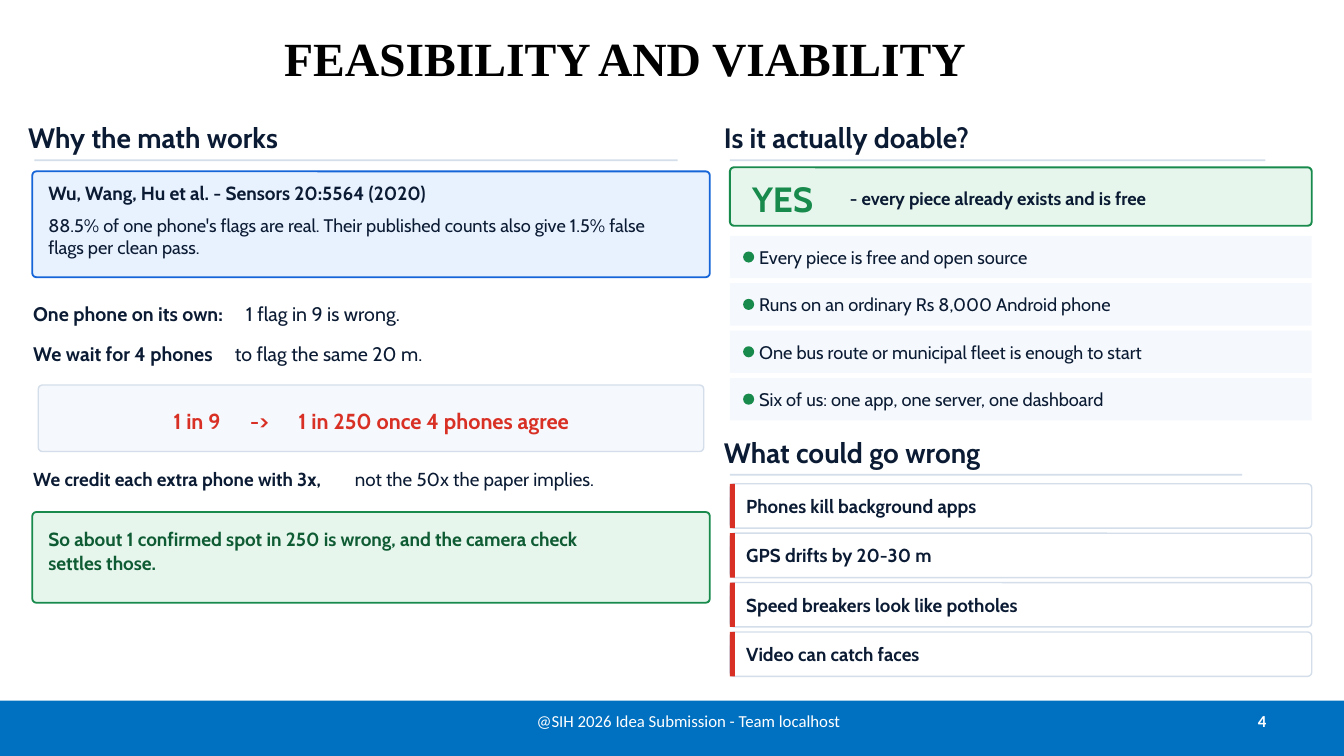
from lxml import etree
from pptx import Presentation
from pptx.dml.color import RGBColor
from pptx.enum.shapes import MSO_SHAPE
from pptx.enum.text import MSO_ANCHOR, PP_ALIGN
from pptx.oxml.ns import qn
from pptx.util import Inches, Pt

RECT, ROUNDED, OVAL = MSO_SHAPE.RECTANGLE, MSO_SHAPE.ROUNDED_RECTANGLE, MSO_SHAPE.OVAL
LEFT, CENTER, RIGHT = PP_ALIGN.LEFT, PP_ALIGN.CENTER, PP_ALIGN.RIGHT
MIDDLE = MSO_ANCHOR.MIDDLE

COLORS = {
    "white": "FFFFFF", "black": "000000", "ink": "0B1B33", "footer": "0070C0",
    "rule": "D4DEEA", "mist": "F5F8FC", "sky": "E8F1FE", "blue": "1565D8",
    "mint": "E6F6EC", "green": "178A4C", "forest": "0F5C34", "red": "D93025",
}
CORNER = 0.04


def color(name):
    return RGBColor.from_string(COLORS[name])


def span(text, size, hue="ink", bold=False, font="Cabin"):
    return text, size, hue, bold, font


def write(shape, spans, align=LEFT, inset=0, tabs=(), leading=None):
    """Fill a shape with one paragraph; tabs are inches from the text's left edge."""
    frame = shape.text_frame
    frame.word_wrap = True
    frame.vertical_anchor = MIDDLE
    frame.margin_left = Inches(inset)
    frame.margin_right = frame.margin_top = frame.margin_bottom = 0
    para = frame.paragraphs[0]
    para.alignment = align
    if leading:
        para.line_spacing = Pt(leading)
    if tabs:
        stops = etree.SubElement(para._p.get_or_add_pPr(), qn("a:tabLst"))
        for stop in tabs:
            etree.SubElement(stops, qn("a:tab"), pos=str(Inches(stop)), algn="l")
    for text, size, hue, bold, font in spans:
        run = para.add_run()
        run.text = text
        run.font.size = Pt(size)
        run.font.name = font
        run.font.bold = bold
        run.font.color.rgb = color(hue)


def add_text(page, box, *spans, **options):
    write(page.shapes.add_textbox(*map(Inches, box)), spans, **options)


def add_panel(page, box, fill, line=None, width=1, kind=RECT):
    shape = page.shapes.add_shape(kind, *map(Inches, box))
    shape.shadow.inherit = False
    shape.fill.solid()
    shape.fill.fore_color.rgb = color(fill)
    if line:
        shape.line.color.rgb = color(line)
        shape.line.width = Pt(width)
    else:
        shape.line.fill.background()
    if kind == ROUNDED:
        shape.adjustments[0] = CORNER / box[3]
    return shape


def add_heading(page, left, top, text, rule_left, rule_width, rule_top):
    add_text(page, (left, top, 4, 0.53), span(text, 20, bold=True))
    add_panel(page, (rule_left, rule_top, rule_width, 0.02), "rule")


def add_header(page, left, top, width, height):
    title = page.shapes.title
    title.left, title.top, title.width, title.height = map(Inches, (left, top, width, height))
    write(title, [span("FEASIBILITY AND VIABILITY", 34, "black", True, "Times New Roman")],
          align=CENTER)


def add_footer(page, top):
    add_panel(page, (0, top, 13.33, 0.55), "footer")
    add_text(page, (5.08, top, 3.5, 0.4),
             span("@SIH 2026 Idea Submission - Team localhost", 12, "white", font="Calibri"),
             align=CENTER)
    add_text(page, (9.56, top, 3, 0.4), span("4", 12, "white", True, "Calibri"), align=RIGHT)


def add_math(page, left, top, width):
    add_heading(page, left - 0.04, top, "Why the math works", left + 0.02, 6.38, top + 0.48)
    inner = left + 0.16

    add_panel(page, (left, top + 0.6, width, 1.05), "sky", "blue", 1.3, ROUNDED)
    add_text(page, (inner, top + 0.63, 6, 0.36),
             span("Wu, Wang, Hu et al. - Sensors 20:5564 (2020)", 13.6, bold=True))
    add_text(page, (inner, top + 0.96, 6.1, 0.56),
             span("88.5% of one phone's flags are real. Their published counts also give "
                  "1.5% false flags per clean pass.", 13))

    facts = [
        (1.83, 14, "One phone on its own:", "1 flag in 9 is wrong.", 2.11),
        (2.23, 14, "We wait for 4 phones", "to flag the same 20 m.", 2),
        (3.47, 13.4, "We credit each extra phone with 3x,", "not the 50x the paper implies.", 3.19),
    ]
    for offset, size, lead, rest, tab in facts:
        add_text(page, (left + 0.01, top + offset, 6.5, 0.36),
                 span(lead, size, bold=True), span("\t" + rest, size), tabs=[tab])

    add_panel(page, (left + 0.06, top + 2.72, width - 0.12, 0.66), "mist", "rule", 1, ROUNDED)
    add_text(page, (left + 1.4, top + 2.87, 4.6, 0.41),
             span("1 in 9\t->\t1 in 250 once 4 phones agree", 15.5, "red", True),
             tabs=[0.76, 1.24])

    add_panel(page, (left, top + 3.98, width, 0.9), "mint", "green", 1.3, ROUNDED)
    add_text(page, (inner, top + 4.05, 5.5, 0.61),
             span("So about 1 confirmed spot in 250 is wrong, and the camera check "
                  "settles those.", 13.6, "forest", True), leading=17.5)


def add_doable(page, left, top, width):
    add_heading(page, left - 0.06, top, "Is it actually doable?", left, 5.31, top + 0.48)
    add_panel(page, (left, top + 0.56, width, 0.58), "mint", "green", 1.4, ROUNDED)
    add_text(page, (left + 0.22, top + 0.54, 0.9, 0.66), span("YES", 25, "green", True))
    add_text(page, (left + 1.19, top + 0.7, 4, 0.34),
             span("- every piece already exists and is free", 13, bold=True))
    reasons = [
        "Every piece is free and open source",
        "Runs on an ordinary Rs 8,000 Android phone",
        "One bus route or municipal fleet is enough to start",
        "Six of us: one app, one server, one dashboard",
    ]
    height, dot = 0.42, 0.11
    for index, reason in enumerate(reasons):
        y = top + 1.24 + 0.47 * index
        row = add_panel(page, (left, y, width, height), "mist")
        write(row, [span(reason, 13)], inset=0.29)
        add_panel(page, (left + 0.13, y + (height - dot) / 2, dot, dot), "green", kind=OVAL)


def add_risks(page, left, top, width):
    add_heading(page, left - 0.06, top, "What could go wrong", left, 5.08, top + 0.48)
    risks = [
        "Phones kill background apps",
        "GPS drifts by 20-30 m",
        "Speed breakers look like potholes",
        "Video can catch faces",
    ]
    height = 0.44
    for index, risk in enumerate(risks):
        y = top + 0.58 + 0.49 * index
        card = add_panel(page, (left, y, width, height), "white", "rule", 1, ROUNDED)
        write(card, [span(risk, 13.4, bold=True)], inset=0.15)
        add_panel(page, (left, y, 0.05, height), "red")


def main():
    deck = Presentation()
    deck.slide_width, deck.slide_height = Inches(13.33), Inches(7.5)
    page = deck.slides.add_slide(deck.slide_layouts.get_by_name("Title Only"))
    add_footer(page, 6.95)
    add_header(page, 1.85, 0.05, 8.7, 1.05)
    add_math(page, 0.32, 1.1, 6.72)
    add_doable(page, 7.24, 1.1, 5.77)
    add_risks(page, 7.24, 4.22, 5.77)
    deck.save("out.pptx")


if __name__ == "__main__":
    main()
